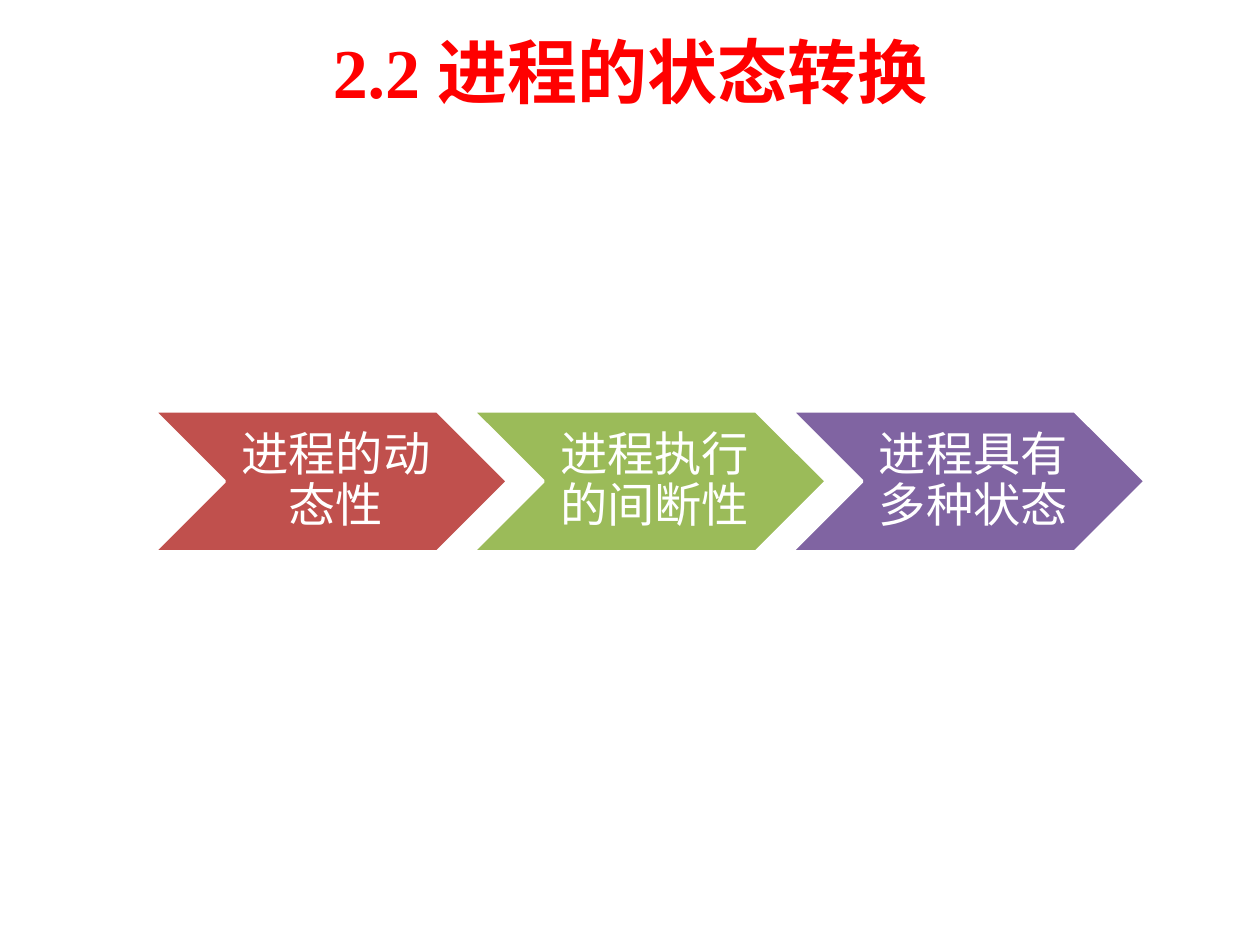
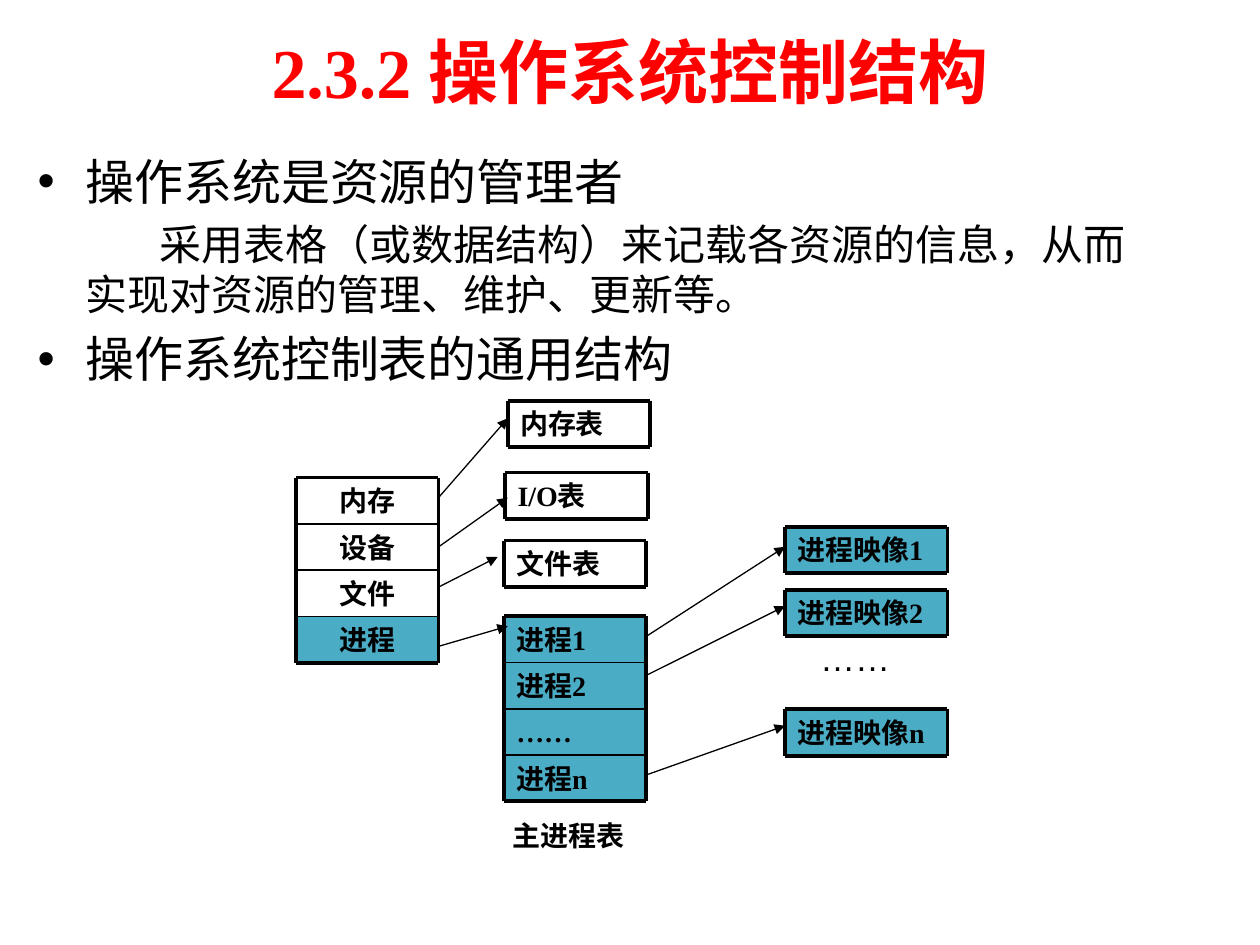
import pptx
import pptx.dml.color
import pptx.enum.shapes
import pptx.enum.text
import pptx.oxml.ns
import pptx.util
from lxml import etree

Inches = pptx.util.Inches
Pt = pptx.util.Pt
ALIGN = pptx.enum.text.PP_ALIGN
ANCHOR = pptx.enum.text.MSO_ANCHOR
SHAPE = pptx.enum.shapes.MSO_SHAPE

COLORS = {
    "title": "FF0000",
    "text": "000000",
    "white": "FFFFFF",
    "red": "C0504D",
    "green": "9BBB59",
    "purple": "8064A2",
    "process": "4BACC6",
}
SERIF = "Times New Roman"
TITLE_FONT = {"name": SERIF, "size": Pt(40), "bold": True}
CELL_FONT = {"name": SERIF, "size": Pt(16), "bold": True}
CHEVRON_FONT = {"name": "Calibri", "size": Pt(27)}
ELLIPSIS_FONT = {"name": "Arial", "size": Pt(20)}
CELL_HEIGHT = 1.47 / 4
BORDER = 2.25
DIVIDER = 1
ARROW = 0.75
RIGHT_SIDE = 3


def rgb(name):
    return pptx.dml.color.RGBColor.from_string(COLORS[name])


def apply_format(target, values):
    for name, value in values.items():
        setattr(target, name, value)


def add_drawing_element(parent, tag, **attributes):
    return etree.SubElement(parent, pptx.oxml.ns.qn(tag), attributes)


def write_paragraph(paragraph, text, font, color="text", **layout):
    paragraph.text = text
    apply_format(paragraph, layout)
    apply_format(paragraph.font, font)
    paragraph.font.color.rgb = rgb(color)


def add_text(slide, box, text, font, color="text", anchor=ANCHOR.TOP, **layout):
    shape = slide.shapes.add_textbox(*map(Inches, box))
    apply_format(shape.text_frame, {"word_wrap": True, "vertical_anchor": anchor})
    write_paragraph(shape.text_frame.paragraphs[0], text, font, color, **layout)
    return shape


def add_title(slide, text):
    add_text(slide, (0.5, 0.05, 9, 1.02), text, TITLE_FONT, "title",
             ANCHOR.MIDDLE, alignment=ALIGN.CENTER)


def add_box(slide, kind, box, fill):
    shape = slide.shapes.add_shape(kind, *map(Inches, box))
    shape.shadow.inherit = False
    shape.fill.solid()
    shape.fill.fore_color.rgb = rgb(fill)
    shape.line.fill.background()
    return shape


def add_line(slide, start, end, width):
    connector = slide.shapes.add_connector(
        pptx.enum.shapes.MSO_CONNECTOR.STRAIGHT, *map(Inches, start + end))
    connector.line.color.rgb = rgb("text")
    connector.line.width = Pt(width)
    add_drawing_element(connector._element.spPr, "a:effectLst")
    return connector


def add_chevron(slide, left, text, fill):
    shape = add_box(slide, SHAPE.CHEVRON, (left, 3.26, 2.81, 1.12), fill)
    shape.line.color.rgb = rgb("white")
    shape.line.width = Pt(2)
    label = add_text(slide, (left + 0.56, 3.26, 1.69, 1.12), text, CHEVRON_FONT,
                     "white", ANCHOR.MIDDLE, alignment=ALIGN.CENTER, line_spacing=0.9)
    apply_format(label.text_frame, {
        "margin_left": Inches(0.12), "margin_right": Inches(0.04),
        "margin_top": Inches(0.04), "margin_bottom": Inches(0.04)})


def add_cell(slide, box, label, fill, align):
    if not fill:
        return add_text(slide, box, label, CELL_FONT, alignment=align)
    shape = add_box(slide, SHAPE.RECTANGLE, box, fill)
    apply_format(shape.text_frame, {"word_wrap": True, "vertical_anchor": ANCHOR.TOP})
    write_paragraph(shape.text_frame.paragraphs[0], label, CELL_FONT, alignment=align)
    return shape


def add_stack(slide, left, top, width, cells, align=ALIGN.LEFT):
    """Stack (label, fill) cells in a ruled frame; return the cells by label."""
    shapes = {}
    count = len(cells)
    right, bottom = left + width, top + count * CELL_HEIGHT
    for row, (label, fill) in enumerate(cells):
        box = (left, top + row * CELL_HEIGHT, width, CELL_HEIGHT)
        shapes[label] = add_cell(slide, box, label, fill, align)
    for row in range(count + 1):
        y = top + row * CELL_HEIGHT
        add_line(slide, (left, y), (right, y), BORDER if row in (0, count) else DIVIDER)
    for x in (left, right):
        add_line(slide, (x, top), (x, bottom), BORDER)
    return shapes


def add_arrow(slide, start, end, source=None):
    """Draw an arrow, joined to the cell whose right side it leaves at the middle."""
    connector = add_line(slide, start, end, ARROW)
    if source:
        connector.begin_connect(source, RIGHT_SIDE)
    add_drawing_element(connector.line._get_or_add_ln(), "a:tailEnd", type="triangle")


def add_body(slide, items):
    """Write (text, size, bulleted) items; plain ones get a first-line indent."""
    frame = slide.shapes.add_textbox(*map(Inches, (0.2, 1.15, 9, 4.95))).text_frame
    frame.word_wrap = True
    for index, (text, size, bulleted) in enumerate(items):
        paragraph = frame.add_paragraph() if index else frame.paragraphs[0]
        properties = paragraph._p.get_or_add_pPr()
        properties.set("marL", str(Inches(0.38)))
        properties.set("indent", str(Inches(-0.38 if bulleted else 0.59)))
        if bulleted:
            add_drawing_element(properties, "a:buFont", typeface="Arial")
            add_drawing_element(properties, "a:buChar", char="•")
        write_paragraph(paragraph, text, {"name": SERIF, "size": Pt(size)},
                        space_before=Pt(0.2 * size if index else 0))


def build_state_slide(slide):
    add_title(slide, "2.2 进程的状态转换")
    features = [("进程的动态性", "red"), ("进程执行的间断性", "green"),
                ("进程具有多种状态", "purple")]
    for index, (text, fill) in enumerate(features):
        add_chevron(slide, 1.22 + index * 2.53, text, fill)


def build_control_slide(slide):
    add_title(slide, "2.3.2 操作系统控制结构")
    add_body(slide, [
        ("操作系统是资源的管理者", 28, True),
        ("采用表格（或数据结构）来记载各资源的信息，从而实现对资源的管理、维护、更新等。",
         24, False),
        ("操作系统控制表的通用结构", 28, True),
    ])
    resources = add_stack(slide, 2.35, 3.79, 1.13,
                          [("内存", None), ("设备", None), ("文件", None),
                           ("进程", "process")], ALIGN.CENTER)
    add_stack(slide, 4, 4.89, 1.13,
              [(label, "process") for label in ("进程1", "进程2", "……", "进程n")])
    for label, left, top in [("内存表", 4.03, 3.18), ("I/O表", 4.01, 3.75),
                             ("文件表", 4, 4.29)]:
        add_stack(slide, left, top, 1.13, [(label, None)])
    for label, top in [("进程映像1", 4.18), ("进程映像2", 4.68), ("进程映像n", 5.63)]:
        add_stack(slide, 6.23, top, 1.29, [(label, "process")])
    add_text(slide, (6.41, 5, 0.79, 0.43), "……", ELLIPSIS_FONT)

    add_arrow(slide, (3.48, 4.34), (4.03, 3.95), resources["设备"])
    for start, end in [
        ((3.48, 3.95), (4.03, 3.32)),
        ((3.48, 4.66), (3.95, 4.42)),
        ((3.48, 5.13), (4.03, 4.97)),
        ((5.13, 5.05), (6.23, 4.34)),
        ((5.13, 5.36), (6.23, 4.81)),
        ((5.13, 6.15), (6.23, 5.76)),
    ]:
        add_arrow(slide, start, end)
    add_text(slide, (3.97, 6.45, 1.29, 0.37), "主进程表", CELL_FONT)


def main():
    presentation = pptx.Presentation()
    presentation.slide_width = Inches(10)
    presentation.slide_height = Inches(7.5)
    blank = presentation.slide_layouts[6]
    for build in (build_state_slide, build_control_slide):
        build(presentation.slides.add_slide(blank))
    presentation.save("out.pptx")


if __name__ == "__main__":
    main()
